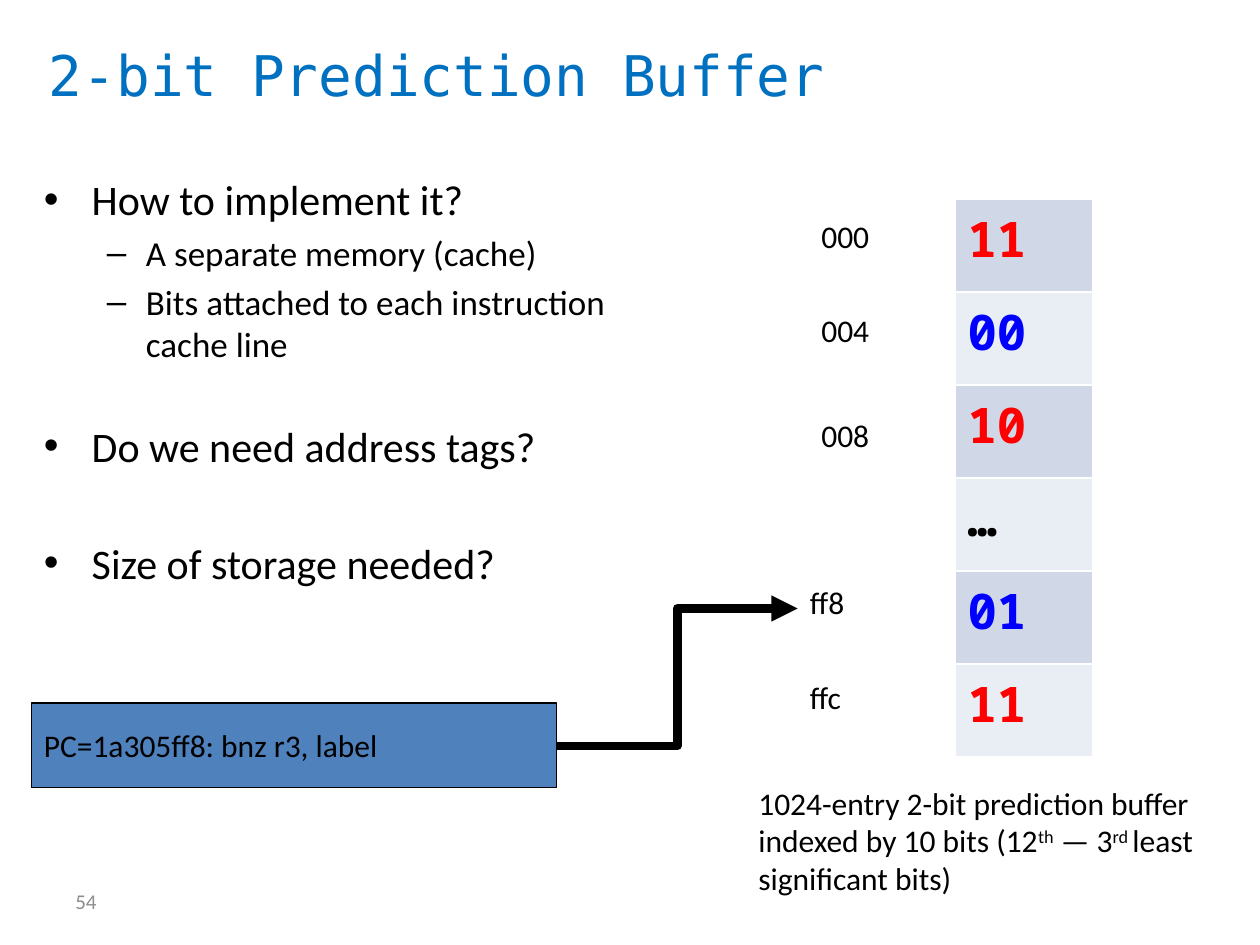
from lxml import etree
from pptx import Presentation
from pptx.dml.color import RGBColor
from pptx.enum.shapes import MSO_CONNECTOR, MSO_SHAPE
from pptx.enum.text import MSO_ANCHOR
from pptx.oxml.ns import qn
from pptx.util import Inches, Pt

ELBOW = MSO_CONNECTOR.ELBOW
RECTANGLE = MSO_SHAPE.RECTANGLE
TOP, MIDDLE = MSO_ANCHOR.TOP, MSO_ANCHOR.MIDDLE

BLACK = RGBColor(0x00, 0x00, 0x00)
GREY = RGBColor(0x8C, 0x8C, 0x8C)
TITLE_BLUE = RGBColor(0x00, 0x70, 0xC0)
BOX_BLUE = RGBColor(0x4F, 0x81, 0xBD)
TAKEN_RED = RGBColor(0xFF, 0x00, 0x00)
NOT_TAKEN_BLUE = RGBColor(0x00, 0x00, 0xFF)
BANDS = (RGBColor(0xD0, 0xD8, 0xE8), RGBColor(0xE9, 0xED, 0xF4))

BULLETS = [
    (0, 0, "How to implement it?"),
    (1, 4, "A separate memory (cache)"),
    (1, 4, "Bits attached to each instruction cache line"),
    (0, 32, "Do we need address tags?"),
    (0, 38, "Size of storage needed?"),
]
LEVELS = [("•", 24, 0.38, -0.38), ("–", 20, 0.81, -0.31)]
ENTRIES = [
    ("11", TAKEN_RED),
    ("00", NOT_TAKEN_BLUE),
    ("10", TAKEN_RED),
    ("…", BLACK),
    ("01", NOT_TAKEN_BLUE),
    ("11", TAKEN_RED),
]
ADDRESSES = [
    ("000", 6.42, 1.67),
    ("004", 6.42, 2.42),
    ("008", 6.42, 3.25),
    ("ff8", 6.33, 4.58),
    ("ffc", 6.33, 5.33),
]
CAPTION = [
    ("1024-entry 2-bit prediction buffer indexed by 10 bits (12", False),
    ("th", True),
    (" — 3", False),
    ("rd ", True),
    ("least significant bits)", False),
]


def add_run(p, text, size=18, color=BLACK, name="Calibri", bold=False):
    r = p.add_run()
    r.text = text
    font_format = {"size": Pt(size), "name": name, "bold": bold}
    for key, value in font_format.items():
        setattr(r.font, key, value)
    r.font.color.rgb = color
    return r


def add_box(s, left, top, width, height, anchor=TOP):
    box = s.shapes.add_textbox(
        Inches(left), Inches(top), Inches(width), Inches(height))
    tf = box.text_frame
    tf.word_wrap = True
    tf.vertical_anchor = anchor
    return tf


def add_label(s, text, left, top, width, height, anchor=TOP, **font):
    tf = add_box(s, left, top, width, height, anchor)
    add_run(tf.paragraphs[0], text, **font)


def add_bullets(s):
    tf = add_box(s, 0.25, 1.33, 5.33, 3.5)
    for i, (level, gap, text) in enumerate(BULLETS):
        mark, size, margin, indent = LEVELS[level]
        p = tf.add_paragraph() if i else tf.paragraphs[0]
        p.level = level
        p.space_before = Pt(gap)
        pPr = p._p.get_or_add_pPr()
        pPr.set("marL", str(Inches(margin)))
        pPr.set("indent", str(Inches(indent)))
        etree.SubElement(pPr, qn("a:buFont"), typeface="Arial")
        etree.SubElement(pPr, qn("a:buChar"), char=mark)
        add_run(p, text, size)


def set_white_borders(cell):
    tcPr = cell._tc.get_or_add_tcPr()
    for i, side in enumerate(("lnL", "lnR", "lnT", "lnB")):
        ln = etree.Element(qn(f"a:{side}"), w=str(Pt(1)))
        fill = etree.SubElement(ln, qn("a:solidFill"))
        etree.SubElement(fill, qn("a:srgbClr"), val="FFFFFF")
        tcPr.insert(i, ln)


def add_buffer_table(s):
    frame = s.shapes.add_table(
        len(ENTRIES), 2, Inches(7.58), Inches(1.58), Inches(1.5), Inches(4.43))
    table = frame.table
    for column, width in zip(table.columns, (1.09, 0.41)):
        column.width = Inches(width)
    for i, (bits, color) in enumerate(ENTRIES):
        cell = table.cell(i, 0)
        cell.fill.solid()
        cell.fill.fore_color.rgb = BANDS[i % 2]
        add_run(cell.text_frame.paragraphs[0], bits, 28, color,
                "Noto Sans Mono", True)
        set_white_borders(cell)
        side = table.cell(i, 1)
        side.fill.background()
        set_white_borders(side)
    table.cell(0, 1).merge(table.cell(len(ENTRIES) - 1, 1))


def add_caption(s):
    tf = add_box(s, 5.92, 6.17, 3.75, 1)
    for text, raised in CAPTION:
        r = add_run(tf.paragraphs[0], text)
        if raised:
            r.font._element.set("baseline", "30000")


def add_instruction(s):
    box = s.shapes.add_shape(
        RECTANGLE, Inches(0.25), Inches(5.58), Inches(4.17), Inches(0.67))
    box.shadow.inherit = False
    box.fill.solid()
    box.fill.fore_color.rgb = BOX_BLUE
    box.line.color.rgb = BLACK
    box.line.width = Pt(0.75)
    tf = box.text_frame
    tf.word_wrap = False
    tf.vertical_anchor = MIDDLE
    p = tf.paragraphs[0]
    p._p.get_or_add_pPr().set("algn", "l")
    add_run(p, "PC=1a305ff8: bnz r3, label")


def add_arrow(s):
    arrow = s.shapes.add_connector(
        ELBOW, Inches(4.42), Inches(5.92), Inches(6.33), Inches(4.83))
    arrow.line.color.rgb = BLACK
    arrow.line.width = Pt(5)
    etree.SubElement(arrow.line._get_or_add_ln(), qn("a:tailEnd"),
                     type="triangle")
    etree.SubElement(arrow._element.spPr, qn("a:effectLst"))


def main():
    prs = Presentation()
    prs.slide_width, prs.slide_height = Inches(10), Inches(7.5)
    s = prs.slides.add_slide(prs.slide_layouts[6])
    add_label(s, "54", 0.5, 6.95, 2.33, 0.4, MIDDLE, size=12, color=GREY)
    add_bullets(s)
    add_buffer_table(s)
    for text, left, top in ADDRESSES:
        add_label(s, text, left, top, 7.5 - left, 0.5)
    add_caption(s)
    add_instruction(s)
    add_arrow(s)
    add_label(s, "2-bit Prediction Buffer", 0.29, 0.25, 8.5, 0.67, MIDDLE,
              size=32, color=TITLE_BLUE, name="DejaVu Sans Mono")
    prs.save("out.pptx")


if __name__ == "__main__":
    main()
